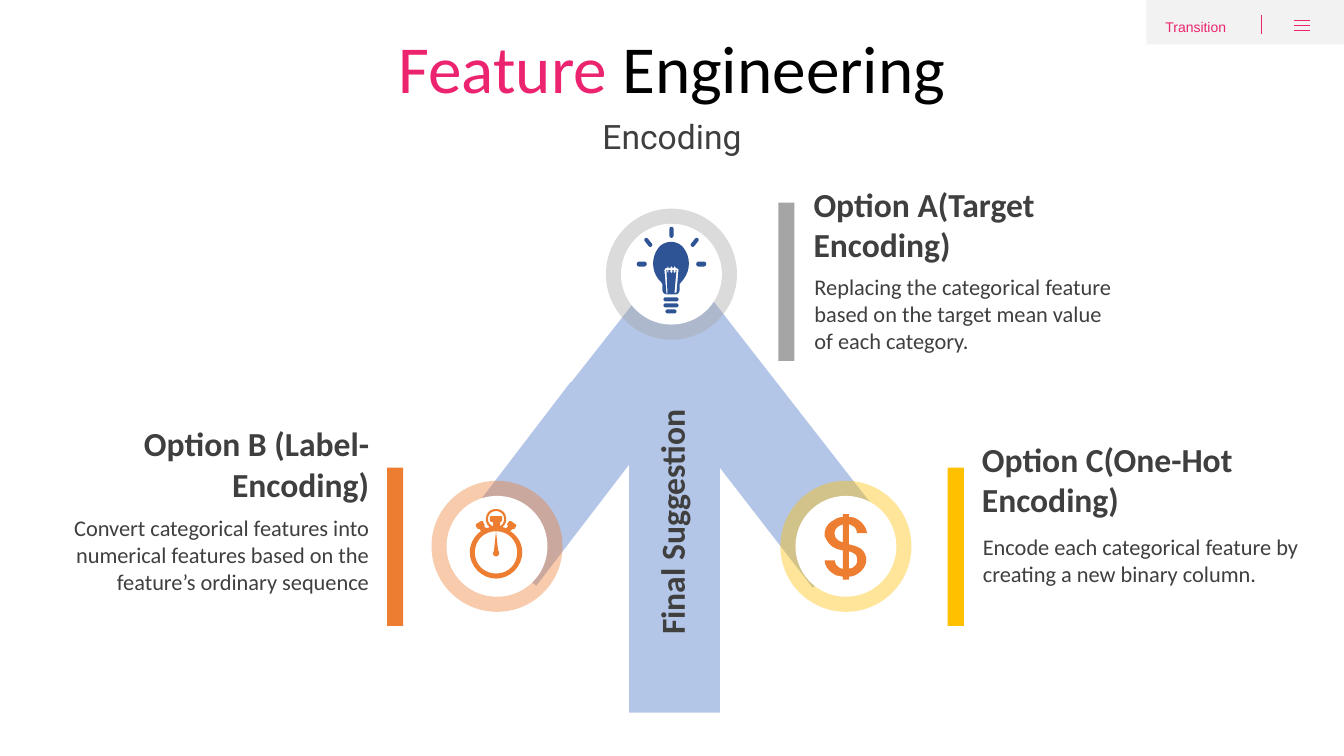
import math

import pptx
import pptx.dml.color
import pptx.enum.shapes
import pptx.enum.text
import pptx.oxml.ns
import pptx.util
from lxml import etree

PX = 9144  # EMU in one px, 100 px to the inch
PINK, DARK, ORANGE, YELLOW, GRAY = "EC236E", "3F3F3F", "ED7D31", "FFC000", "A5A5A5"
SHAPES = pptx.enum.shapes.MSO_SHAPE
ALIGN = pptx.enum.text.PP_ALIGN
ANCHOR = pptx.enum.text.MSO_ANCHOR

ARROW = """M 669,249 L 728,325 883,524 806,583 714,464 714,707 624,707 624,461
 532,581 456,523 566,379 566,380"""

# Stopwatch parts
WATCH_DIAL = """M 492,527 C 480,527 471,536 471,548 471,560 480,569 492,569
 504,569 513,560 513,548 513,536 504,527 492,527 L 494,546
 C 495,547 495,548 495,549 495,550 494,552 492,552 490,552 489,550 489,549
 489,548 490,547 490,546"""
WATCH_CROWN = """M 492,507 C 488,507 484,510 484,515 484,518 486,521 489,522
 L 489,518 488,518 C 487,518 486,517 486,516 L 486,513 C 486,512 487,512 488,512
 L 496,512 C 497,512 498,512 498,513 L 498,516 C 498,517 497,518 496,518
 L 496,522 C 498,521 500,518 500,515 500,510 496,507 492,507"""
WATCH_CASE = """M 492,505 C 498,505 502,509 502,515 502,518 501,521 498,523
 500,523 501,524 502,524 L 504,522 C 503,521 503,520 503,520 L 505,517 507,517
 511,520 C 512,520 512,521 512,522 L 510,525 508,525 506,527
 C 513,531 518,539 518,548 518,562 506,574 492,574 478,574 466,562 466,548
 466,539 471,531 477,527 L 476,525 474,525 472,522 C 472,521 472,520 472,520
 L 477,517 479,517 480,520 C 481,520 481,521 480,522 L 482,524
 C 483,524 485,523 486,523 483,521 482,518 482,515 482,509 486,505 492,505"""

# Bulb parts
BULB_GLASS = """M 666,240 C 670,240 675,242 678,246 685,255 685,268 678,277
 L 674,282 674,288 C 674,290 672,292 671,292 L 661,292
 C 659,292 657,290 657,288 L 657,282 C 656,280 654,278 653,277
 646,268 646,255 653,246 656,242 661,240 666,240"""
BULB_FILAMENT = """M 663,264 L 662,265 662,266 660,266 659,268 661,291 662,292
 662,290 661,268 662,268 662,270 663,271 663,268 665,268 665,270 666,271 667,270
 667,268 668,268 668,270 669,271 670,270 670,268 671,268 669,290 669,291 671,290
 673,267 671,266 670,266 670,265 669,264 668,265 668,266 667,266 667,265
 666,264 665,265 665,266 663,266"""
# Each stroke: x1, y1, x2, y2, thickness
BULB_STROKES = [
    (662, 309, 669, 309, 4), (660, 303, 671, 303, 4), (660, 297, 671, 297, 4),
    (634, 262, 639, 262, 5), (693, 262, 698, 262, 5), (666, 227, 666, 234, 4),
    (641, 238, 645, 243, 4), (691, 238, 687, 243, 4),
]

# Dollar parts
DOLLAR_HOLES = """M 842,547 L 842,564 C 843,564 844,564 846,563
 849,561 851,558 850,554 850,550 846,548 842,547
 M 836,520 C 835,521 833,521 832,522 829,524 827,527 828,531 829,535 832,537 836,538"""
DOLLAR_SIGN = """M 836,510 L 842,510 842,513 C 844,513 846,513 848,514
 855,517 859,523 860,529 L 850,529 C 850,526 848,522 844,521 843,521 843,520 842,520
 L 842,540 C 849,542 857,543 859,553 860,559 857,565 851,569 848,571 845,572 842,572
 L 842,575 836,575 836,572 C 834,572 832,571 830,571 823,568 818,562 818,556
 L 828,556 C 828,559 830,562 834,564 835,564 835,564 836,565 L 836,546
 C 829,545 822,542 818,532 817,525 821,519 827,516 830,514 833,513 836,513"""


def color(value):
    return pptx.dml.color.RGBColor.from_string(value)


def paint(shape, fill, alpha=None):
    """Solid fill, no outline, no shadow."""
    shape.shadow.inherit = False
    shape.line.fill.background()
    shape.fill.solid()
    shape.fill.fore_color.rgb = color(fill)
    if alpha is not None:
        value = shape._element.spPr.find(".//" + pptx.oxml.ns.qn("a:srgbClr"))
        etree.SubElement(value, pptx.oxml.ns.qn("a:alpha"), val=str(alpha * 1000))


def add_preset(slide, kind, left, top, width, height, fill, alpha=None):
    shape = slide.shapes.add_shape(kind, left * PX, top * PX, width * PX, height * PX)
    paint(shape, fill, alpha)


def add_text(slide, runs, left, top, width, height, size=16, font="Calibri",
             bold=False, align=ALIGN.LEFT, anchor=ANCHOR.MIDDLE, spacing=None, rotation=0):
    """Runs are (text, color) pairs of one paragraph."""
    box = slide.shapes.add_textbox(left * PX, top * PX, width * PX, height * PX)
    box.rotation = rotation
    box.text_frame.word_wrap = True
    box.text_frame.vertical_anchor = anchor
    paragraph = box.text_frame.paragraphs[0]
    paragraph.alignment = align
    paragraph.line_spacing = spacing
    for text, text_color in runs:
        run = paragraph.add_run()
        run.text = text
        run.font.name = font
        run.font.size = pptx.util.Pt(size)
        run.font.bold = bold
        run.font.color.rgb = color(text_color)


def add_line(slide, x1, y1, x2, y2):
    line = slide.shapes.add_connector(
        pptx.enum.shapes.MSO_CONNECTOR.STRAIGHT, x1 * PX, y1 * PX, x2 * PX, y2 * PX)
    line.line.color.rgb = color(PINK)
    line.line.width = pptx.util.Pt(0.75)
    etree.SubElement(line._element.spPr, pptx.oxml.ns.qn("a:effectLst"))


def curve_points(corners, steps=8):
    for step in range(1, steps + 1):
        t = step / steps
        weights = ((1 - t) ** 3, 3 * t * (1 - t) ** 2, 3 * t * t * (1 - t), t ** 3)
        yield tuple(sum(w * c[axis] for w, c in zip(weights, corners)) for axis in (0, 1))


def outline_contours(*outlines):
    """Turn M, L and C commands into lists of points."""
    contours, command, controls = [], None, []
    for token in " ".join(outlines).split():
        if token in "MLC":
            command = token
            continue
        point = tuple(int(number) for number in token.split(","))
        if command == "M":
            contours.append([point])
        elif command == "L":
            contours[-1].append(point)
        else:
            controls.append(point)
            if len(controls) == 3:
                contours[-1].extend(curve_points([contours[-1][-1], *controls]))
                controls = []
    return contours


def stroke_contour(x1, y1, x2, y2, thickness, steps=6):
    """Round-ended bar between two points."""
    heading = math.atan2(y2 - y1, x2 - x1)
    points = []
    for x, y, first in ((x2, y2, heading - math.pi / 2), (x1, y1, heading + math.pi / 2)):
        for step in range(steps + 1):
            angle = first + math.pi * step / steps
            points.append((x + thickness / 2 * math.cos(angle),
                           y + thickness / 2 * math.sin(angle)))
    return points


def add_outline(slide, contours, fill, alpha=None):
    scaled = [[(round(x * PX), round(y * PX)) for x, y in contour] for contour in contours]
    builder = slide.shapes.build_freeform(*scaled[0][0])
    for index, contour in enumerate(scaled):
        if index:
            builder.move_to(*contour[0])
        builder.add_line_segments(contour[1:], close=True)
    paint(builder.convert_to_shape(), fill, alpha)


def add_badge(slide, center_x, center_y, fill):
    for radius, disc_fill, alpha in ((65, fill, 40), (50, "FFFFFF", None)):
        add_preset(slide, SHAPES.OVAL, center_x - radius, center_y - radius,
                   2 * radius, 2 * radius, disc_fill, alpha)


def add_option(slide, title, title_box, body, body_box, bar_left, bar_top, fill, align=ALIGN.LEFT):
    add_text(slide, [(title, DARK)], *title_box, size=24, bold=True, align=align)
    add_text(slide, [(body, DARK)], *body_box, align=align)
    add_preset(slide, SHAPES.RECTANGLE, bar_left, bar_top, 16, 157, fill)


def main():
    presentation = pptx.Presentation()
    presentation.slide_width, presentation.slide_height = 1333 * PX, 750 * PX
    slide = presentation.slides.add_slide(presentation.slide_layouts[6])

    # Headings
    add_text(slide, [("Feature ", PINK), ("Engineering", "000000")], 0, 29, 1333, 84,
             size=48, align=ALIGN.CENTER, spacing=0.9)
    add_text(slide, [("Encoding", DARK)], 0, 101, 1333, 72,
             size=24, font="Roboto", align=ALIGN.CENTER, spacing=0.9)

    # Three-way arrow and badges
    add_outline(slide, outline_contours(ARROW), "4472C4", 40)
    for center_x, center_y, fill in ((666, 272, GRAY), (493, 542, ORANGE), (839, 542, YELLOW)):
        add_badge(slide, center_x, center_y, fill)

    # Options
    add_option(slide, "Option A(Target Encoding)", (797, 190, 335, 64),
               "Replacing the categorical feature based on the target mean value of each category.",
               (798, 252, 316, 118), 772, 201, GRAY)
    add_option(slide, "Option C(One-Hot Encoding)", (964, 435, 355, 80),
               "Encode each categorical feature by creating a new binary column.",
               (965, 479, 354, 153), 940, 464, YELLOW)
    add_option(slide, "Option B (Label-Encoding)", (33, 401, 343, 118),
               "Convert categorical features into numerical features based on the "
               "feature’s ordinary sequence",
               (33, 495, 343, 111), 384, 464, ORANGE, ALIGN.RIGHT)
    add_text(slide, [("Final Suggestion", DARK)], 486, 493, 360, 50,
             size=24, bold=True, align=ALIGN.CENTER, rotation=270)

    # Icons
    add_outline(slide, outline_contours(WATCH_DIAL, WATCH_CROWN, WATCH_CASE), ORANGE)
    bulb_strokes = [stroke_contour(*stroke) for stroke in BULB_STROKES]
    add_outline(slide, outline_contours(BULB_GLASS, BULB_FILAMENT) + bulb_strokes, "2F5496")
    add_outline(slide, outline_contours(DOLLAR_HOLES, DOLLAR_SIGN), ORANGE)

    # Corner tab
    add_preset(slide, SHAPES.RECTANGLE, 1137, 0, 196, 44, "F2F2F2")
    add_text(slide, [("Transition", PINK)], 1138, 13, 96, 27,
             size=10, font="Arial", align=ALIGN.CENTER, anchor=ANCHOR.TOP)
    for y in (20, 25, 30):
        add_line(slide, 1283, y, 1299, y)
    add_line(slide, 1251, 15, 1251, 34)

    presentation.save("out.pptx")


if __name__ == "__main__":
    main()
